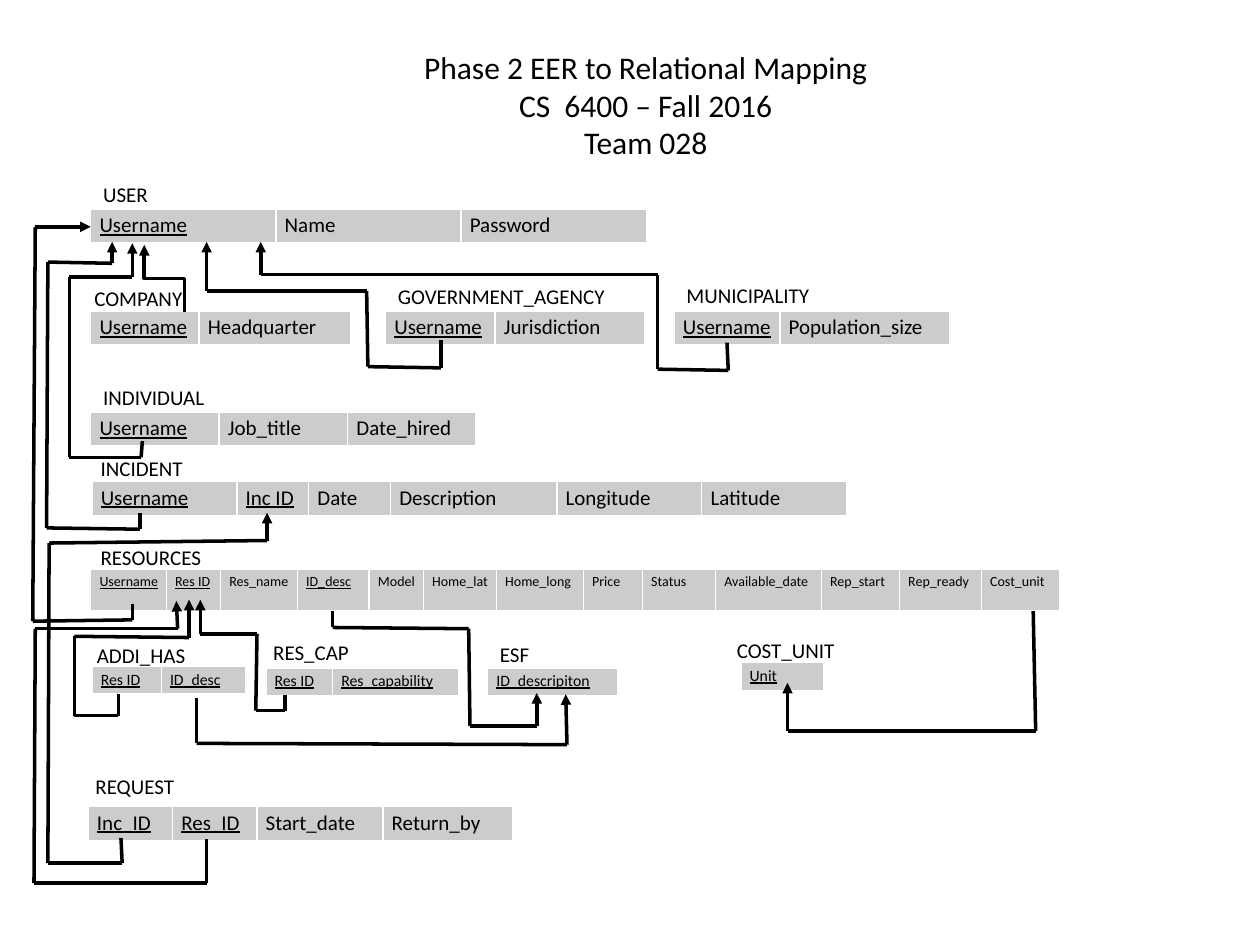
"""Build the relational mapping slide: one table per relation, arrows for foreign keys."""
from itertools import pairwise

from lxml.etree import SubElement
from pptx import Presentation
from pptx.dml.color import RGBColor
from pptx.enum.shapes import MSO_CONNECTOR as Connector
from pptx.enum.text import MSO_ANCHOR as Anchor, MSO_AUTO_SIZE as AutoSize, PP_ALIGN as Align
from pptx.oxml.ns import qn
from pptx.util import Cm, Pt

COLORS = {"ink": "000000", "cell": "CCCCCC"}
FONT = "Calibri"
CM_PER_INCH = 2.54
KEYS = {"Username", "Inc ID", "Res ID", "ID_desc", "Res_capability",
        "Unit", "ID_descripiton", "Inc_ID", "Res_ID"}


def lengths(*inches):
    return [Cm(value * CM_PER_INCH) for value in inches]


def add_text(para, text, size):
    span = para.add_run()
    span.text = text
    span.font.name = FONT
    span.font.size = Pt(size)
    span.font.color.rgb = RGBColor.from_string(COLORS["ink"])
    span.font.underline = text in KEYS


deck = Presentation()
deck.slide_width, deck.slide_height = lengths(10, 7.5)
page = deck.slides.add_slide(deck.slide_layouts[5])

title = page.shapes.title
title.left, title.top, title.width, title.height = lengths(2.05, 0.33, 6.15, 1.01)
frame = title.text_frame
frame.auto_size = AutoSize.NONE
frame.vertical_anchor = Anchor.TOP
heading = ["Phase 2 EER to Relational Mapping", "CS  6400 – Fall 2016", "Team 028"]
for index, line in enumerate(heading):
    para = frame.add_paragraph() if index else frame.paragraphs[0]
    para.alignment = Align.CENTER
    add_text(para, line, 18)

relations = [
    ("USER", (0.72, 1.39, 0.62), (0.72, 1.66, 0.27), 12,
     [("Username", 1.47), ("Name", 1.47), ("Password", 1.47)]),
    ("COMPANY", (0.65, 2.22, 1.12), (0.72, 2.47, 0.27), 12,
     [("Username", 0.86), ("Headquarter", 1.2)]),
    ("GOVERNMENT_AGENCY", (3.06, 2.2, 2.04), (3.06, 2.47, 0.27), 12,
     [("Username", 0.87), ("Jurisdiction", 1.19)]),
    ("MUNICIPALITY", (5.35, 2.19, 1.4), (5.35, 2.47, 0.27), 12,
     [("Username", 0.84), ("Population_size", 1.35)]),
    ("INDIVIDUAL", (0.72, 3, 1.13), (0.72, 3.27, 0.27), 12,
     [("Username", 1.02), ("Job_title", 1.02), ("Date_hired", 1.02)]),
    ("INCIDENT", (0.7, 3.57, 1.04), (0.73, 3.82, 0.27), 12,
     [("Username", 1.15), ("Inc ID", 0.57), ("Date", 0.65), ("Description", 1.32),
      ("Longitude", 1.15), ("Latitude", 1.15)]),
    ("RESOURCES", (0.7, 4.27, 1.04), (0.72, 4.52, 0.33), 8,
     [("Username", 0.6), ("Res ID", 0.43), ("Res_name", 0.61), ("ID_desc", 0.57),
      ("Model", 0.43), ("Home_lat", 0.58), ("Home_long", 0.69), ("Price", 0.47),
      ("Status", 0.58), ("Available_date", 0.84), ("Rep_start", 0.62),
      ("Rep_ready", 0.65), ("Cost_unit", 0.62)]),
    ("ADDI_HAS", (0.67, 5.05, 1.47), (0.73, 5.29, 0.22), 9,
     [("Res ID", 0.55), ("ID_desc", 0.67)]),
    ("RES_CAP", (2.07, 5.03, 1.47), (2.11, 5.3, 0.22), 9,
     [("Res ID", 0.53), ("Res_capability", 1)]),
    ("ESF", (3.87, 5.04, 1.47), (3.87, 5.3, 0.22), 9, [("ID_descripiton", 1.03)]),
    ("COST_UNIT", (5.75, 5.01, 1.1), (5.88, 5.26, 0.22), 9, [("Unit", 0.66)]),
    ("REQUEST", (0.66, 6.09, 1.04), (0.7, 6.4, 0.27), 12,
     [("Inc_ID", 0.67), ("Res_ID", 0.67), ("Start_date", 1), ("Return_by", 1.03)]),
]

for name, label_place, (left, top, height), size, fields in relations:
    label = page.shapes.add_textbox(*lengths(*label_place, 0.3))
    label.text_frame.word_wrap = True
    add_text(label.text_frame.paragraphs[0], name, 12)

    total = sum(width for _, width in fields)
    grid = page.shapes.add_table(1, len(fields), *lengths(left, top, total, height)).table
    grid.first_row = grid.horz_banding = False
    for index, (field, width) in enumerate(fields):
        grid.columns[index].width = lengths(width)[0]
        cell = grid.cell(0, index)
        cell.margin_left, cell.margin_right = lengths(0.07, 0.02)
        cell.margin_top, cell.margin_bottom = lengths(0.03, 0.03)
        cell.fill.solid()
        cell.fill.fore_color.rgb = RGBColor.from_string(COLORS["cell"])
        add_text(cell.text_frame.paragraphs[0], field, size)

company_link = page.shapes.add_connector(Connector.ELBOW, *lengths(1.04, 2.05, 1.57, 2.37))
transform = company_link._element.spPr.find(qn("a:xfrm"))
transform.set("rot", "16200000")
transform.set("flipV", "1")

routes = [
    [(3.5, 2.7), (3.5, 2.92), (2.92, 2.91), (2.91, 2.31), (1.64, 2.31), (1.64, 1.92)],
    [(5.77, 2.72), (5.78, 2.94), (5.22, 2.93), (5.22, 2.18), (2.07, 2.18), (2.07, 1.92)],
    [(1.13, 3.5), (1.12, 3.63), (0.55, 3.63), (0.55, 2.2), (1.05, 2.2), (1.05, 1.93)],
    [(1.11, 4.07), (1.11, 4.2), (0.37, 4.19), (0.38, 2.08), (0.89, 2.09), (0.89, 1.92)],
    [(1.05, 4.79), (1.05, 4.92), (0.26, 4.93), (0.28, 1.8), (0.72, 1.8)],
    [(0.94, 5.51), (0.94, 5.68), (0.59, 5.68), (0.59, 5.05), (1.5, 5.06), (1.5, 4.76)],
    [(2.26, 5.52), (2.26, 5.64), (2.03, 5.64), (2.04, 5.03), (1.59, 5.03), (1.59, 4.76)],
    [(2.64, 4.85), (2.64, 4.98), (3.72, 4.99), (3.73, 5.76), (4.26, 5.76), (4.26, 5.5)],
    [(1.56, 5.54), (1.56, 5.9), (4.5, 5.91), (4.49, 5.51)],
    [(8.2, 4.85), (8.22, 5.8), (6.25, 5.8), (6.25, 5.42)],
    [(0.96, 6.65), (0.97, 6.85), (0.38, 6.85), (0.39, 4.31), (2.12, 4.29), (2.12, 4.07)],
    [(1.64, 6.66), (1.64, 7.01), (0.27, 7.01), (0.28, 4.99), (1.41, 4.99), (1.4, 4.77)],
]

segments = [(company_link, True)]
for route in routes:
    for start, end in pairwise(route):
        segment = page.shapes.add_connector(Connector.STRAIGHT, *lengths(*start, *end))
        segments.append((segment, end == route[-1]))

for segment, has_arrow in segments:
    segment.line.width = Pt(2)
    segment.line.color.rgb = RGBColor.from_string(COLORS["ink"])
    if has_arrow:
        SubElement(segment.line._get_or_add_ln(), qn("a:tailEnd"), type="triangle")
    SubElement(segment._element.spPr, qn("a:effectLst"))

deck.save("out.pptx")
